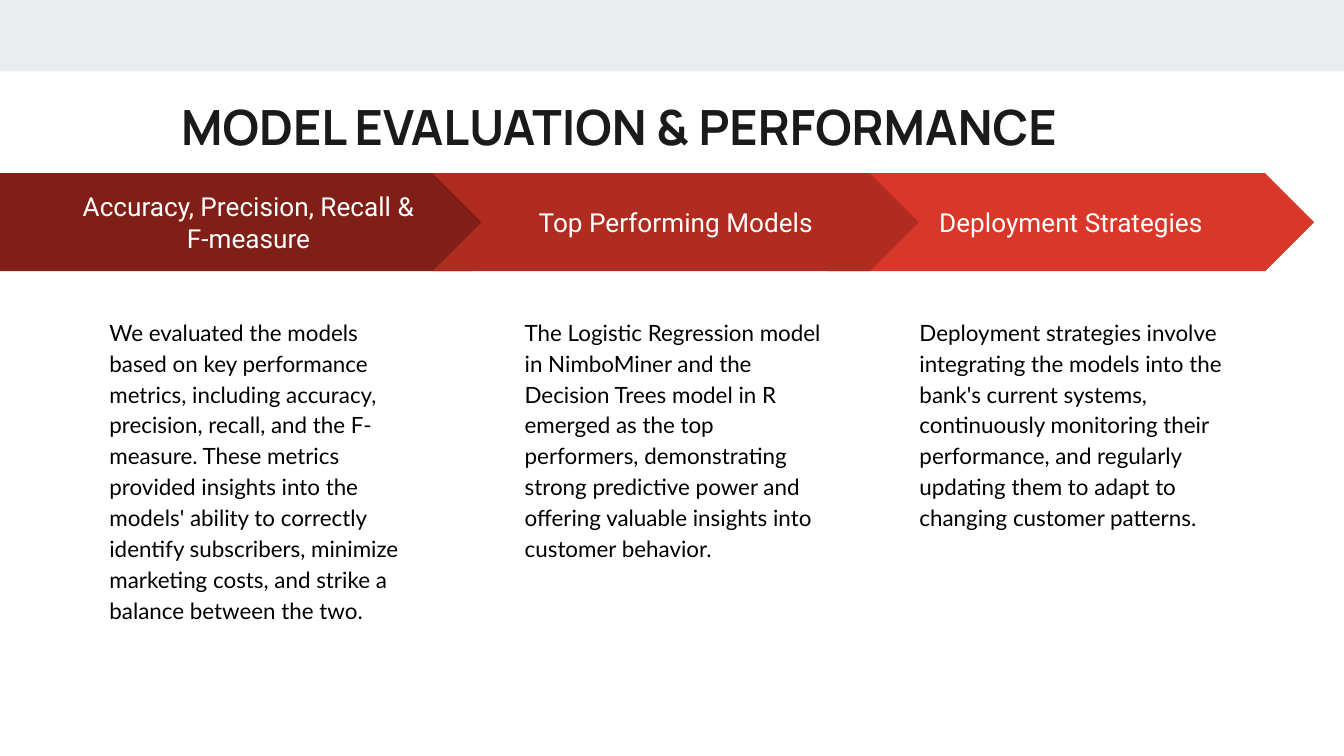
import pptx
import pptx.util
import pptx.dml.color
import pptx.enum.shapes
import pptx.enum.text

Pt = pptx.util.Pt
RGB = pptx.dml.color.RGBColor.from_string
Kind = pptx.enum.shapes.MSO_SHAPE
Align = pptx.enum.text.PP_ALIGN
Anchor = pptx.enum.text.MSO_ANCHOR

theme = {
    "band": "E9EDEE",
    "title": ("Manrope", 26, "1A1A1A"),
    "head": ("Roboto", 14, "FFFFFF"),
    "body": ("Lato", 12, "000000"),
}

deck = pptx.Presentation()
deck.slide_width, deck.slide_height = Pt(720), Pt(405)
slide = deck.slides.add_slide(deck.slide_layouts[6])


def add_block(kind, left, top, width, height, fill):
    block = slide.shapes.add_shape(kind, Pt(left), Pt(top), Pt(width), Pt(height))
    block.shadow.inherit = False
    block.fill.solid()
    block.fill.fore_color.rgb = RGB(fill)
    block.line.fill.background()
    return block


def write(shape, text, role, align=Align.LEFT, anchor=Anchor.TOP, gap=1.0, bold=False):
    frame = shape.text_frame
    frame.word_wrap = True
    frame.vertical_anchor = anchor
    frame.margin_left = frame.margin_right = Pt(7.2)
    frame.margin_top = frame.margin_bottom = Pt(7.2)
    frame.text = text
    name, size, color = theme[role]
    for para in frame.paragraphs:
        para.alignment = align
        para.line_spacing = gap
        para.font.name = name
        para.font.size = Pt(size)
        para.font.bold = bold
        para.font.color.rgb = RGB(color)


add_block(Kind.RECTANGLE, 0, 0, 720, 38.3, theme["band"])

# Back to front: each arrow's tip overlaps the ones before it.
steps = [
    (Kind.CHEVRON, 443.5, 260.5, "D83729", "Deployment Strategies", 485.5,
     "Deployment strategies involve integrating the models into the bank's "
     "current systems, continuously monitoring their performance, and "
     "regularly updating them to adapt to changing customer patterns."),
    (Kind.PENTAGON, 0, 279.5, "801F17",
     "Accuracy, Precision, Recall &\nF-measure", 51.5,
     "We evaluated the models based on key performance metrics, including "
     "accuracy, precision, recall, and the F-measure. These metrics provided "
     "insights into the models' ability to correctly identify subscribers, "
     "minimize marketing costs, and strike a balance between the two."),
    (Kind.CHEVRON, 231.8, 260.5, "B02B20", "Top Performing Models", 274,
     "The Logistic Regression model in NimboMiner and the Decision Trees "
     "model in R emerged as the top performers, demonstrating strong "
     "predictive power and offering valuable insights into customer behavior."),
]
for kind, left, width, fill, head, inset, body in steps:
    arrow = add_block(kind, left, 92.8, width, 52.5, fill)
    write(arrow, head, "head", Align.CENTER, Anchor.MIDDLE)
    box = slide.shapes.add_textbox(Pt(inset), Pt(161.5), Pt(176.5), Pt(206))
    write(box, body, "body", gap=1.15)

title = slide.shapes.add_textbox(Pt(90), Pt(44.7), Pt(543.6), Pt(64))
write(title, "MODEL EVALUATION & PERFORMANCE", "title", bold=True)

deck.save("out.pptx")
